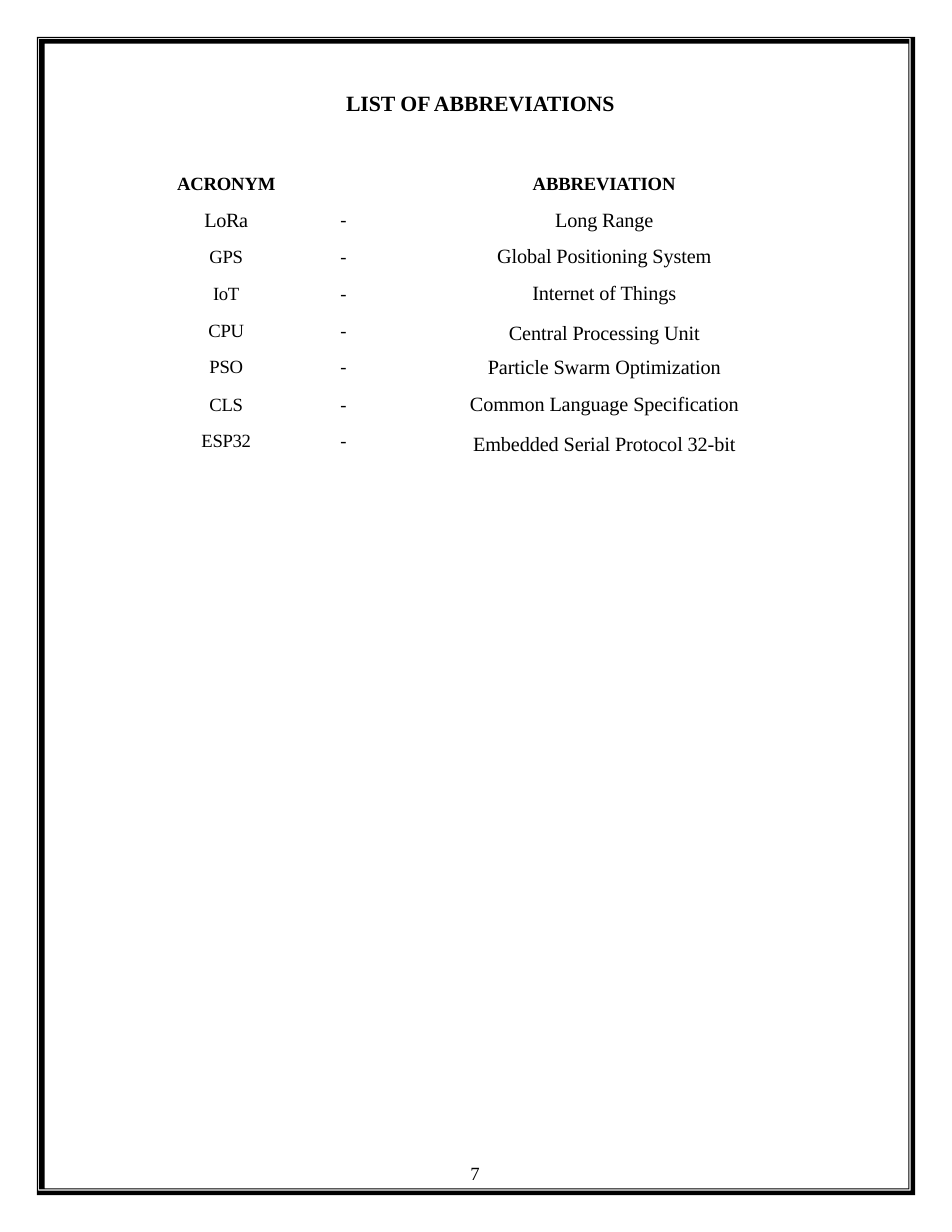
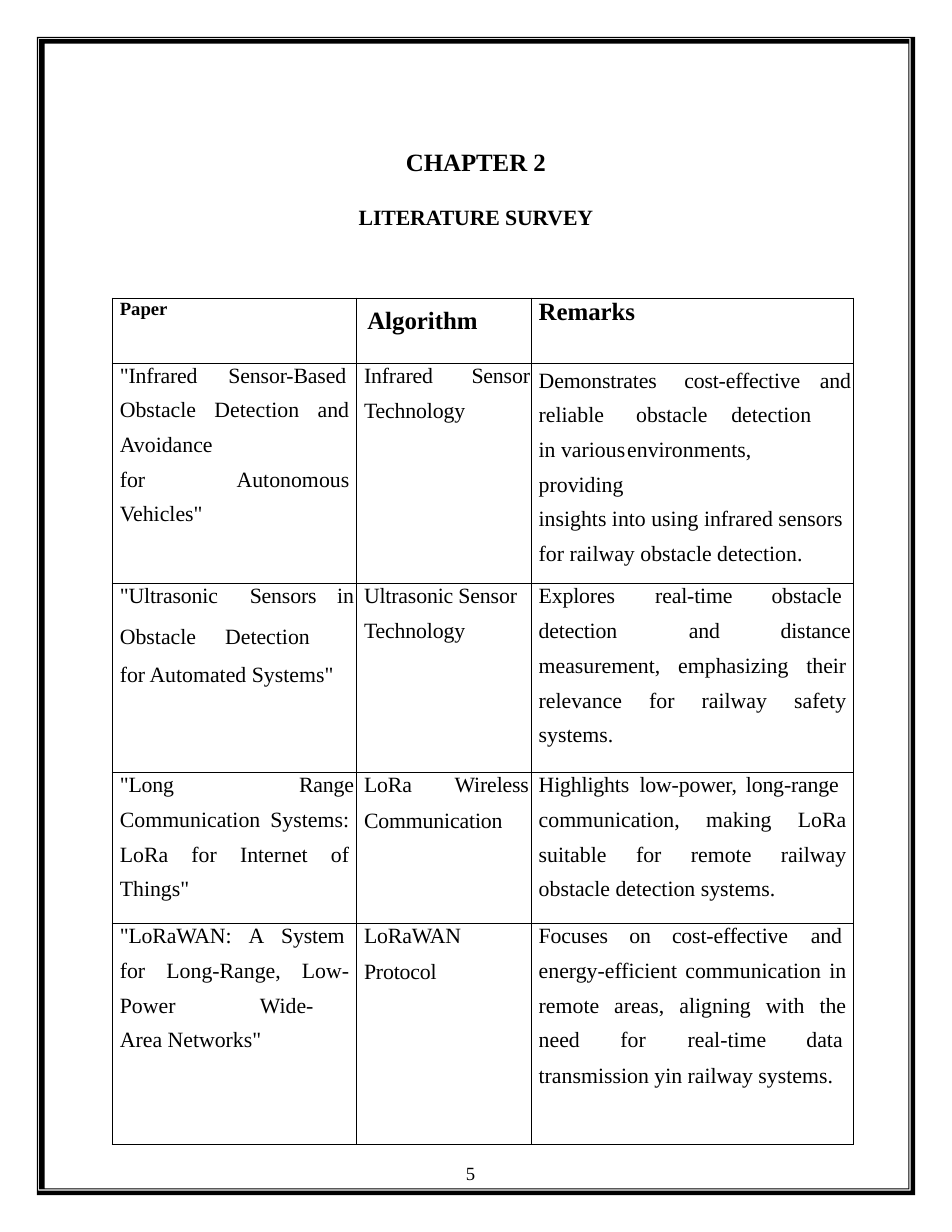
import pptx
import pptx.util
import pptx.dml.color
import pptx.enum.text
import lxml.etree

ALIGN = pptx.enum.text.PP_ALIGN
Inches, Pt = pptx.util.Inches, pptx.util.Pt

THEME = {
    "font": "Times New Roman",
    "ink": pptx.dml.color.RGBColor(0, 0, 0),
    "chapter": 16, "title": 14, "body": 14, "entry": 13, "small": 12,
    "rule": 0.5,
    "plain_table": "{2D5ABB26-0587-4C30-8999-92F81FD0307C}",
}
WIDTH, HEIGHT = 8.5, 11

FRAME_EDGES = [
    (0.33, 0.33, 8.17, 10.67),
    (0.34, 0.34, 8.13, 10.63),
    (0.35, 0.35, 8.12, 10.62),
    (0.4, 0.39, 8.11, 10.61),
]

ABBREVIATIONS = [
    ("LoRa", 13, "Long Range", 4.2, 0),
    ("GPS", 12, "Global Positioning System", 3.8, 0),
    ("IoT", 12, "Internet of Things", 3.9, 0),
    ("CPU", 12, "Central Processing Unit", 3.7, 2.1),
    ("PSO", 12, "Particle Swarm Optimization", 2.8, 0),
    ("CLS", 12, "Common Language Specification", 3.9, 0),
    ("ESP32", 12, "Embedded Serial Protocol 32-bit", 3.6, 2.3),
]
ABBREVIATION_GRID = {
    "left": 1.54, "top": 1.56, "columns": [1.21, 0.89, 3],
    "rows": [0.26, 0.33, 0.33, 0.33, 0.34, 0.32, 0.33, 0.29],
}

STYLES = {
    "paper": {"size": THEME["small"], "bold": True, "line": Pt(13.8)},
    "algorithm": {"size": THEME["chapter"], "bold": True, "before": 5.8, "indent": 0.1},
    "remarks": {"size": THEME["chapter"], "bold": True, "line": Pt(18.3)},
    "first": {"line": Pt(16.1), "spacing": -0.1},
    "lowered": {"before": 3.9, "spacing": -0.1},
    "next": {"before": 7.3, "spacing": -0.1},
    "last": {"before": 7.4},
    "justified": {"line": 1.44, "align": ALIGN.JUSTIFY, "right": 0.06},
    "loose": {"line": 1.44, "right": 0.06},
    "tall": {"line": Pt(24.3), "before": 1.9, "right": 0.06},
}
SURVEY = [
    [
        [("paper", "Paper")],
        [("algorithm", "Algorithm")],
        [("remarks", "Remarks")],
    ],
    [
        [("first", '"Infrared\tSensor-Based', 0.97),
         ("justified", 'Obstacle Detection and Avoidance\tfor Autonomous Vehicles"', 1.88)],
        [("first", "Infrared\tSensor", 0.96), ("next", "Technology")],
        [("lowered", "Demonstrates\tcost-effective\tand", 1.3, 2.51),
         ("loose", "reliable\t\tobstacle\tdetection\tin various\tenvironments,\tproviding",
          0.79, 0.87, 1.72, 2.04, 2.65),
         ("loose", "insights into using infrared sensors for railway obstacle detection.")],
    ],
    [
        [("first", '"Ultrasonic\tSensors\tin', 1.16, 1.94),
         ("tall", 'Obstacle\tDetection\tfor Automated Systems"', 0.94, 1.88)],
        [("first", "Ultrasonic Sensor"), ("next", "Technology")],
        [("first", "Explores\treal-time\tobstacle", 1.04, 2.08),
         ("next", "detection\tand\tdistance", 1.34, 2.16),
         ("justified", "measurement, emphasizing their relevance for railway safety systems.")],
    ],
    [
        [("first", '"Long\tRange', 1.6),
         ("justified", 'Communication Systems: LoRa for Internet of Things"')],
        [("first", "LoRa\tWireless", 0.81), ("next", "Communication")],
        [("first", "Highlights\tlow-power,\tlong-range", 0.9, 1.85),
         ("justified", "communication, making LoRa suitable for remote railway "
                       "obstacle detection systems.")],
    ],
    [
        [("first", '"LoRaWAN:\tA\tSystem', 1.15, 1.44),
         ("justified", 'for Long-Range, Low- Power\tWide-Area Networks"', 1.25)],
        [("first", "LoRaWAN"), ("next", "Protocol")],
        [("first", "Focuses\ton\tcost-effective\tand", 0.81, 1.19, 2.43),
         ("justified", "energy-efficient communication in remote areas, aligning with the "
                       "need\tfor\treal-time\tdata", 0.73, 1.33, 2.39),
         ("last", "transmission yin railway systems.")],
    ],
]
SURVEY_GRID = {
    "left": 1, "top": 2.66, "columns": [2.18, 1.56, 2.88],
    "rows": [0.58, 1.95, 1.69, 1.35, 1.97],
}


def add_element(parent, tag, **attributes):
    element = lxml.etree.SubElement(parent, pptx.oxml.ns.qn(tag))
    for name, value in attributes.items():
        element.set(name, str(value))
    return element


def write(frame, text, size=THEME["body"], bold=False, align=ALIGN.LEFT, line=None,
          before=0, indent=0, right=0, spacing=0, tabs=(), new=False):
    paragraph = frame.add_paragraph() if new else frame.paragraphs[0]
    paragraph.alignment = align
    paragraph.space_before = Pt(before)
    if line:
        paragraph.line_spacing = line
    properties = paragraph._p.get_or_add_pPr()
    properties.set("marL", str(Inches(indent)))
    properties.set("marR", str(Inches(right)))
    if tabs:
        stops = add_element(properties, "a:tabLst")
        for position in tabs:
            add_element(stops, "a:tab", pos=Inches(position), algn="l")
    if not text:
        add_element(paragraph._p, "a:endParaRPr", sz=size * 100)
        return
    run = paragraph.add_run()
    run.text = text
    run.font.name = THEME["font"]
    run.font.size = Pt(size)
    run.font.bold = bold
    run.font.color.rgb = THEME["ink"]
    if spacing:
        run._r.get_or_add_rPr().set("spc", str(round(spacing * 100)))


def add_text_box(slide, left, top, width, height, inset=0.0):
    frame = slide.shapes.add_textbox(*map(Inches, (left, top, width, height))).text_frame
    frame.word_wrap = True
    frame.margin_left = frame.margin_right = frame.margin_bottom = 0
    frame.margin_top = Inches(inset)
    return frame


def add_grid(slide, grid, ruled=False):
    columns, rows = grid["columns"], grid["rows"]
    table = slide.shapes.add_table(
        len(rows), len(columns), Inches(grid["left"]), Inches(grid["top"]),
        Inches(sum(columns)), Inches(sum(rows))).table
    table.first_row = table.horz_banding = False
    table._tbl.tblPr.find(pptx.oxml.ns.qn("a:tableStyleId")).text = THEME["plain_table"]
    for column, width in zip(table.columns, columns):
        column.width = Inches(width)
    for row, height in zip(table.rows, rows):
        row.height = Inches(height)
    for cell in table.iter_cells():
        cell.margin_left = cell.margin_right = cell.margin_top = cell.margin_bottom = 0
        if ruled:
            for side in "LRTB":
                border = add_element(cell._tc.get_or_add_tcPr(), f"a:ln{side}",
                                     w=Pt(THEME["rule"]))
                fill = add_element(border, "a:solidFill")
                add_element(fill, "a:srgbClr", val=THEME["ink"])
        cell.fill.background()
    return table


def fill_cell(cell, text, before=0, **options):
    cell.margin_top = Pt(before)
    write(cell.text_frame, text, before=before, **options)


def add_page_frame(slide, number, indent):
    builder = None
    for index, (left, top, right, bottom) in enumerate(FRAME_EDGES):
        corners = [(left, top), (right, top), (right, bottom), (left, bottom)]
        if index % 2:
            corners = corners[:1] + corners[:0:-1]
        start, *others = [(Inches(x), Inches(y)) for x, y in corners]
        if builder is None:
            builder = slide.shapes.build_freeform(*start)
        else:
            builder.move_to(*start)
        builder.add_line_segments(others, close=True)
    border = builder.convert_to_shape()
    border.shadow.inherit = False
    border.fill.solid()
    border.fill.fore_color.rgb = THEME["ink"]
    border.line.fill.background()
    footer = add_text_box(slide, 4.15, 10.38, 0.29, 0.21)
    write(footer, number, size=THEME["small"], line=Pt(14.1), indent=indent)


def build_abbreviations(slide):
    title = add_text_box(slide, 3.08, 0.79, 2.47, 0.26, inset=0.01)
    write(title, "LIST OF ABBREVIATIONS", size=THEME["title"], bold=True,
          before=1, indent=0.01, spacing=-0.05)
    table = add_grid(slide, ABBREVIATION_GRID)
    acronym_place = {"align": ALIGN.CENTER, "right": 0.25}
    meaning_place = {"align": ALIGN.CENTER, "indent": 0.51}
    heading = {"size": THEME["small"], "bold": True, "line": Pt(13.1), "spacing": -0.1}
    fill_cell(table.cell(0, 0), "ACRONYM", **heading, **acronym_place)
    fill_cell(table.cell(0, 1), "", size=THEME["small"])
    fill_cell(table.cell(0, 2), "ABBREVIATION", **heading, **meaning_place)
    for row, (acronym, size, meaning, before, drop) in enumerate(ABBREVIATIONS, 1):
        fill_cell(table.cell(row, 0), acronym, size=size, spacing=-0.2,
                  before=before - (size - THEME["small"]) / 2, **acronym_place)
        fill_cell(table.cell(row, 1), "-", size=THEME["small"], before=before, indent=0.29)
        fill_cell(table.cell(row, 2), meaning, size=THEME["entry"], spacing=-0.05,
                  before=before - 0.5 + drop, **meaning_place)
    add_page_frame(slide, "7", 0.05)


def build_survey(slide):
    title = add_text_box(slide, 3.17, 1.3, 2.16, 0.77, inset=0.01)
    heading = {"bold": True, "align": ALIGN.CENTER}
    write(title, "CHAPTER 2", size=THEME["chapter"], before=0.9, **heading)
    write(title, "LITERATURE SURVEY", size=THEME["title"], before=17.7, spacing=-0.1,
          new=True, **heading)
    table = add_grid(slide, SURVEY_GRID, ruled=True)
    for row, cells in enumerate(SURVEY):
        for column, paragraphs in enumerate(cells):
            cell = table.cell(row, column)
            for index, (style, text, *tabs) in enumerate(paragraphs):
                options = {"indent": 0.07, "tabs": tabs, **STYLES[style]}
                if index:
                    write(cell.text_frame, text, new=True, **options)
                else:
                    fill_cell(cell, text, **options)
    add_page_frame(slide, "5", 0.01)


def main():
    presentation = pptx.Presentation()
    presentation.slide_width, presentation.slide_height = Inches(WIDTH), Inches(HEIGHT)
    for build in (build_abbreviations, build_survey):
        build(presentation.slides.add_slide(presentation.slide_layouts[6]))
    presentation.save("out.pptx")


if __name__ == "__main__":
    main()
